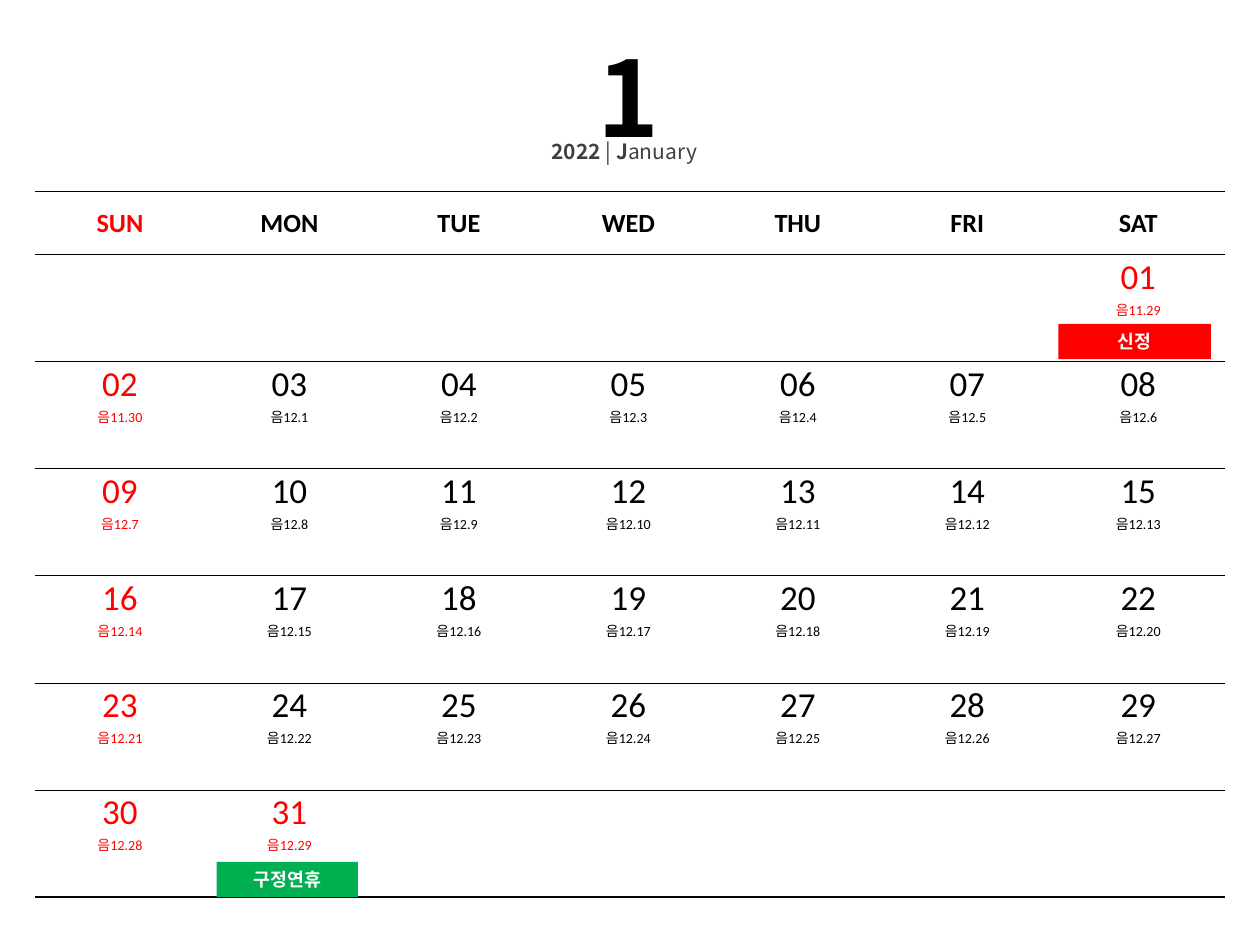
from lxml import etree
from pptx import Presentation
from pptx.dml.color import RGBColor
from pptx.enum.shapes import MSO_SHAPE
from pptx.enum.text import MSO_ANCHOR, MSO_AUTO_SIZE, PP_ALIGN
from pptx.oxml.ns import qn
from pptx.util import Inches, Pt

RECTANGLE = MSO_SHAPE.RECTANGLE
LEFT, CENTER = PP_ALIGN.LEFT, PP_ALIGN.CENTER
TOP, MIDDLE = MSO_ANCHOR.TOP, MSO_ANCHOR.MIDDLE
GROW = MSO_AUTO_SIZE.SHAPE_TO_FIT_TEXT

BLACK, GRAY, WHITE = "000000", "404040", "FFFFFF"
RED, GREEN = "FF0000", "00B050"
KOREAN, LATIN = "Noto Sans CJK KR", "Calibri"
WEEKDAYS = ["SUN", "MON", "TUE", "WED", "THU", "FRI", "SAT"]
FIRST_WEEKDAY, DAYS, WEEKS = 6, 31, 6
HOLIDAYS = {1, 31}


def color(value):
    return RGBColor.from_string(value)


class CalendarPage:
    """Places elements on a grid of 100 columns by 75 rows."""

    def __init__(self, deck):
        self.page = deck.slides.add_slide(deck.slide_layouts[6])
        self.column = deck.slide_width / 100
        self.row = deck.slide_height / 75

    def place(self, left, top, width, height):
        return (round(left * self.column), round(top * self.row),
                round(width * self.column), round(height * self.row))

    def add_spans(self, para, spans, size, fill, font, align=CENTER):
        para.alignment = align
        for text, bold in spans:
            span = para.add_run()
            span.text = text
            formats = {"size": Pt(size), "bold": bold, "name": font}
            for name, value in formats.items():
                setattr(span.font, name, value)
            span.font.color.rgb = color(fill)
            east_asian = etree.SubElement(span.font._element, qn("a:ea"))
            east_asian.set("typeface", KOREAN)

    def text(self, area, spans, size, fill, wrap):
        box = self.page.shapes.add_textbox(*self.place(*area))
        box.text_frame.word_wrap = wrap
        box.text_frame.auto_size = GROW
        self.add_spans(box.text_frame.paragraphs[0], spans, size, fill, KOREAN, LEFT)

    def label(self, area, text, fill):
        box = self.page.shapes.add_shape(RECTANGLE, *self.place(*area))
        box.shadow.inherit = False
        box.fill.solid()
        box.fill.fore_color.rgb = color(fill)
        box.line.fill.background()
        frame = box.text_frame
        formats = {"word_wrap": True, "auto_size": GROW, "vertical_anchor": TOP}
        for name, value in formats.items():
            setattr(frame, name, value)
        self.add_spans(frame.paragraphs[0], [(text, True)], 10.5, WHITE, KOREAN)

    def table(self, area, widths, heights):
        frame = self.page.shapes.add_table(len(heights), len(widths), *self.place(*area))
        table = frame.table
        table.first_row = table.horz_banding = False
        for column, width in zip(table.columns, widths):
            column.width = round(width * self.column)
        for row, height in zip(table.rows, heights):
            row.height = round(height * self.row)
        return table

    def rule(self, cell, top, bottom):
        properties = cell._tc.get_or_add_tcPr()
        for side, width in {"L": 0, "R": 0, "T": top, "B": bottom}.items():
            line = etree.SubElement(properties, qn(f"a:ln{side}"), w=str(int(Pt(width))))
            if width:
                paint = etree.SubElement(line, qn("a:solidFill"))
                etree.SubElement(paint, qn("a:srgbClr"), val=BLACK)
            else:
                etree.SubElement(line, qn("a:noFill"))
        cell.fill.background()

    def fill_cell(self, cell, lines, fill, bold=False, anchor=TOP):
        margin = Inches(0.01)
        formats = {"margin_left": margin, "margin_right": margin, "margin_top": margin,
                   "margin_bottom": 0, "vertical_anchor": anchor}
        for name, value in formats.items():
            setattr(cell, name, value)
        frame = cell.text_frame
        for index, (text, size) in enumerate(lines):
            para = frame.add_paragraph() if index else frame.paragraphs[0]
            self.add_spans(para, [(text, bold)], size, fill, LATIN)


deck = Presentation()
deck.slide_width, deck.slide_height = Inches(10), Inches(7.5)
january = CalendarPage(deck)

# Month heading
january.text((46.4, 2.1, 3.3, 11.1), [("1", True)], 60, BLACK, True)
january.text((42.8, 10.5, 13.6, 3),
             [("2022", True), (" | ", False), ("J", True), ("anuary", False)],
             12, GRAY, False)

# Calendar grid: one header row, then the weeks
grid = january.table((2.8, 15.2, 94.4, 56), [13.45] * 6 + [13.7], [5] + [8.5] * WEEKS)
rules = [1, 1] + [0.5] * (WEEKS - 1) + [1]
for row in range(WEEKS + 1):
    for column in range(len(WEEKDAYS)):
        january.rule(grid.cell(row, column), rules[row], rules[row + 1])

# Weekday names
for column, weekday in enumerate(WEEKDAYS):
    january.fill_cell(grid.cell(0, column), [(weekday, 15)],
                      BLACK if column else RED, True, MIDDLE)

# Days with their lunar dates
for day in range(1, DAYS + 1):
    week, column = divmod(day - 1 + FIRST_WEEKDAY, 7)
    lunar = f"11.{day + 28}" if day < 3 else f"12.{day - 2}"
    red = column == 0 or day in HOLIDAYS
    january.fill_cell(grid.cell(week + 1, column),
                      [(f"{day:02}", 20), (f"음{lunar}", 8)], RED if red else BLACK)

# Holiday labels
january.label((84, 25.7, 12.1, 2.8), "신정", RED)
january.label((17.2, 68.4, 11.2, 2.8), "구정연휴", GREEN)

deck.save("out.pptx")
